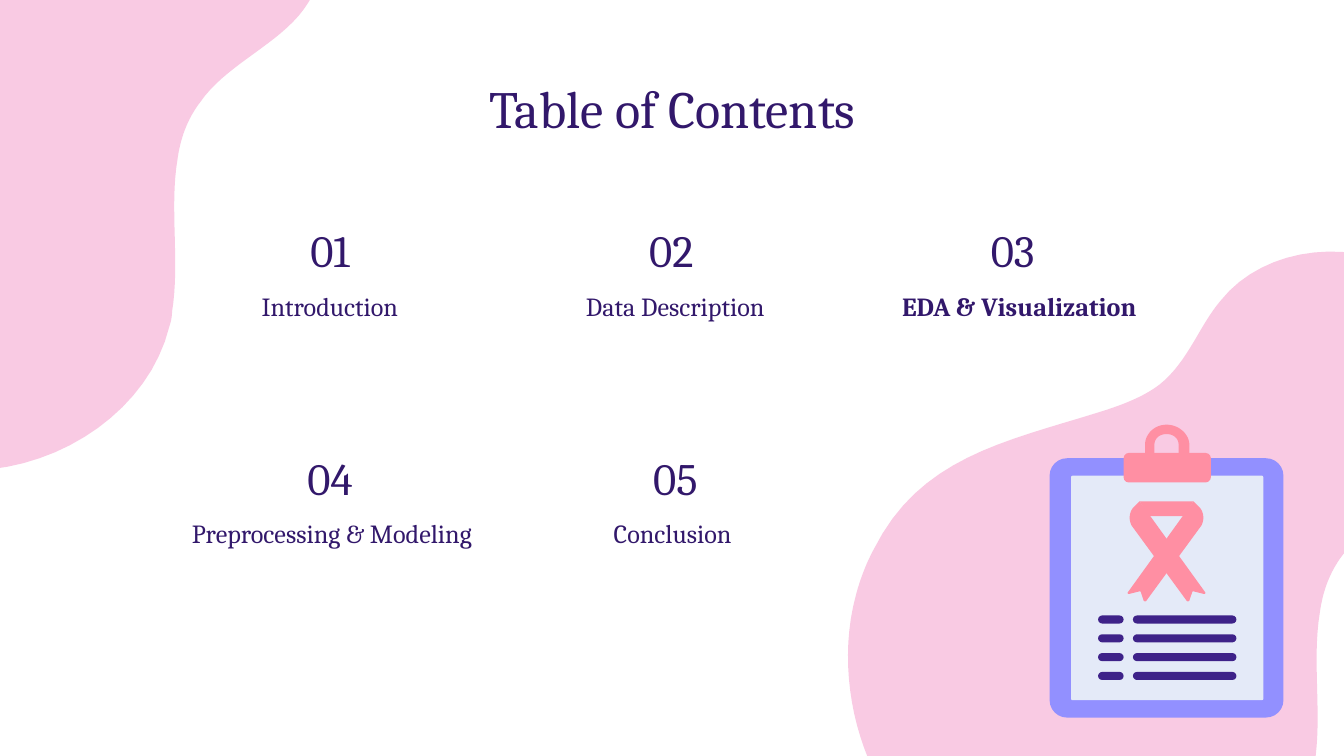
from pptx import Presentation
from pptx.dml.color import RGBColor
from pptx.enum import shapes as es, text as et
from pptx.util import Inches, Pt

INK, PINK, CORAL = "32186B", "F9CAE3", "FF8FA3"
LILAC, PAPER, BAR = "9290FF", "E4EAF8", "3E2289"

# A pair is the end of a line, a triple of pairs is a Bezier curve.
BLOB = [
    (0, 2.86),
    ((-0.07, 3.32), (0.04, 3.82), (0.3, 4.22)),
    ((0.67, 4.75), (1.31, 5.13), (1.98, 5.12)),
    ((2.64, 5.1), (3.28, 4.66), (3.43, 4.05)),
    ((3.44, 4.02), (3.45, 3.98), (3.45, 3.94)),
    ((3.51, 3.57), (3.43, 3.17), (3.49, 2.81)),
    ((3.51, 2.66), (3.56, 2.51), (3.66, 2.38)),
    ((3.84, 2.12), (4.18, 1.98), (4.39, 1.74)),
    ((4.5, 1.61), (4.57, 1.45), (4.6, 1.28)),
    ((4.65, 0.94), (4.52, 0.56), (4.23, 0.33)),
    ((3.79, 0), (3.08, 0.07), (2.75, 0.49)),
    ((2.59, 0.68), (2.51, 0.94), (2.3, 1.11)),
    ((2.17, 1.21), (2, 1.27), (1.84, 1.32)),
    ((1.13, 1.54), (0.51, 1.66), (0.17, 2.34)),
    ((0.08, 2.51), (0.03, 2.68), (0, 2.86)),
]
HANDLE = [
    (0.16, 0),
    ((0.07, 0), (0, 0.07), (0, 0.15)), (0, 0.28), (0.07, 0.28), (0.07, 0.15),
    ((0.07, 0.1), (0.11, 0.07), (0.16, 0.07)),
    ((0.21, 0.07), (0.25, 0.1), (0.25, 0.15)), (0.25, 0.28), (0.33, 0.28), (0.33, 0.15),
    ((0.33, 0.07), (0.25, 0), (0.16, 0)),
]
# Ribbon half, measured from the ribbon's centre line
BAND = [
    (0.2, 0), (-0.29, 0.68),
    ((-0.29, 0.68), (-0.29, 0.69), (-0.28, 0.69)), (-0.2, 0.67),
    ((-0.2, 0.67), (-0.19, 0.67), (-0.19, 0.68)), (-0.17, 0.74),
    ((-0.17, 0.74), (-0.16, 0.75), (-0.15, 0.74)), (0.26, 0.18),
    ((0.28, 0.14), (0.28, 0.09), (0.25, 0.05)), (0.2, 0),
]
KNOT = [(-0.2, 0), (-0.13, 0.11), (0.13, 0.11), (0.2, 0)]

# number, its left edge, label, its left edge and width, row, bold
ITEMS = [
    ("01", 1.98, "Introduction", 1.36, 2.19, 0, False),
    ("02", 4.52, "Data Description", 3.92, 2.21, 0, False),
    ("03", 7.06, "EDA & Visualization", 6.3, 2.57, 0, True),
    ("04", 1.98, "Preprocessing & Modeling", 1.21, 2.52, 1, False),
    ("05", 4.55, "Conclusion", 3.9, 2.21, 1, False),
]


def color(code):
    return RGBColor.from_string(code)


def paint(shape, code):
    shape.shadow.inherit = False
    shape.fill.solid()
    shape.fill.fore_color.rgb = color(code)
    shape.line.fill.background()


def trace(path, steps=16):
    """Turn lines and curves into a list of points."""
    points = [path[0]]
    for part in path[1:]:
        if not isinstance(part[0], tuple):
            points.append(part)
            continue
        knots = (points[-1], *part)
        for i in range(1, steps + 1):
            t = i / steps
            s = 1 - t
            mix = (s**3, 3 * s * s * t, 3 * s * t * t, t**3)
            points.append(tuple(sum(m * k[axis] for m, k in zip(mix, knots))
                                for axis in (0, 1)))
    return points


def outline(parts, path, x, y, code, flip=1):
    points = [(Inches(x + flip * px), Inches(y + py)) for px, py in trace(path)]
    pen = parts.build_freeform(*points[0])
    pen.add_line_segments(points[1:])
    paint(pen.convert_to_shape(), code)


def panel(parts, x, y, w, h, radius, code):
    shape = parts.add_shape(es.MSO_SHAPE.ROUNDED_RECTANGLE,
                            Inches(x), Inches(y), Inches(w), Inches(h))
    shape.adjustments[0] = radius / min(w, h)
    paint(shape, code)


def label(slide, words, x, y, w, h, size, bold=False, anchor=et.MSO_ANCHOR.TOP):
    frame = slide.shapes.add_textbox(Inches(x), Inches(y), Inches(w), Inches(h)).text_frame
    frame.word_wrap = True
    frame.vertical_anchor = anchor
    frame.margin_left = frame.margin_right = Inches(0.1)
    frame.margin_top = frame.margin_bottom = Inches(0.1)
    line = frame.paragraphs[0]
    line.text = words
    line.alignment = et.PP_ALIGN.CENTER
    line.font.name = "Cambria"
    line.font.size = Pt(size)
    line.font.bold = bold
    line.font.color.rgb = color(INK)


def contents(slide, top):
    for num, left, words, x, w, row, bold in ITEMS:
        y = top + 1.69 * row
        label(slide, num, left, y, 0.95, 0.52, 24, anchor=et.MSO_ANCHOR.BOTTOM)
        label(slide, words, x, y + 0.42, w, 0.52, 14, bold)


def clipboard(slide, x, y):
    parts = slide.shapes.add_group_shape().shapes
    mid = x + 0.87
    panel(parts, x, y + 0.25, 1.74, 1.93, 0.13, LILAC)
    panel(parts, x + 0.16, y + 0.38, 1.43, 1.67, 0.01, PAPER)
    for row in range(4):
        for left, w in ((0.36, 0.19), (0.62, 0.77)):
            panel(parts, x + left, y + 1.42 + 0.14 * row, w, 0.06, 0.03, BAR)
    outline(parts, HANDLE, x + 0.71, y, CORAL)
    panel(parts, x + 0.55, y + 0.21, 0.65, 0.22, 0.04, CORAL)
    outline(parts, KNOT, mid, y + 0.57, CORAL)
    for flip in (1, -1):
        outline(parts, BAND, mid, y + 0.57, CORAL, flip)


def main():
    deck = Presentation()
    deck.slide_width = Inches(10)
    deck.slide_height = deck.slide_width * 9 // 16
    slide = deck.slides.add_slide(deck.slide_layouts[6])
    for x, y in ((6.33, 1.75), (-2.17, -1.62)):
        outline(slide.shapes, BLOB, x, y, PINK)
    label(slide, "Table of Contents", 1.32, 0.47, 7.37, 0.63, 28)
    contents(slide, 1.64)
    clipboard(slide, 7.81, 3.16)
    deck.save("out.pptx")


if __name__ == "__main__":
    main()
